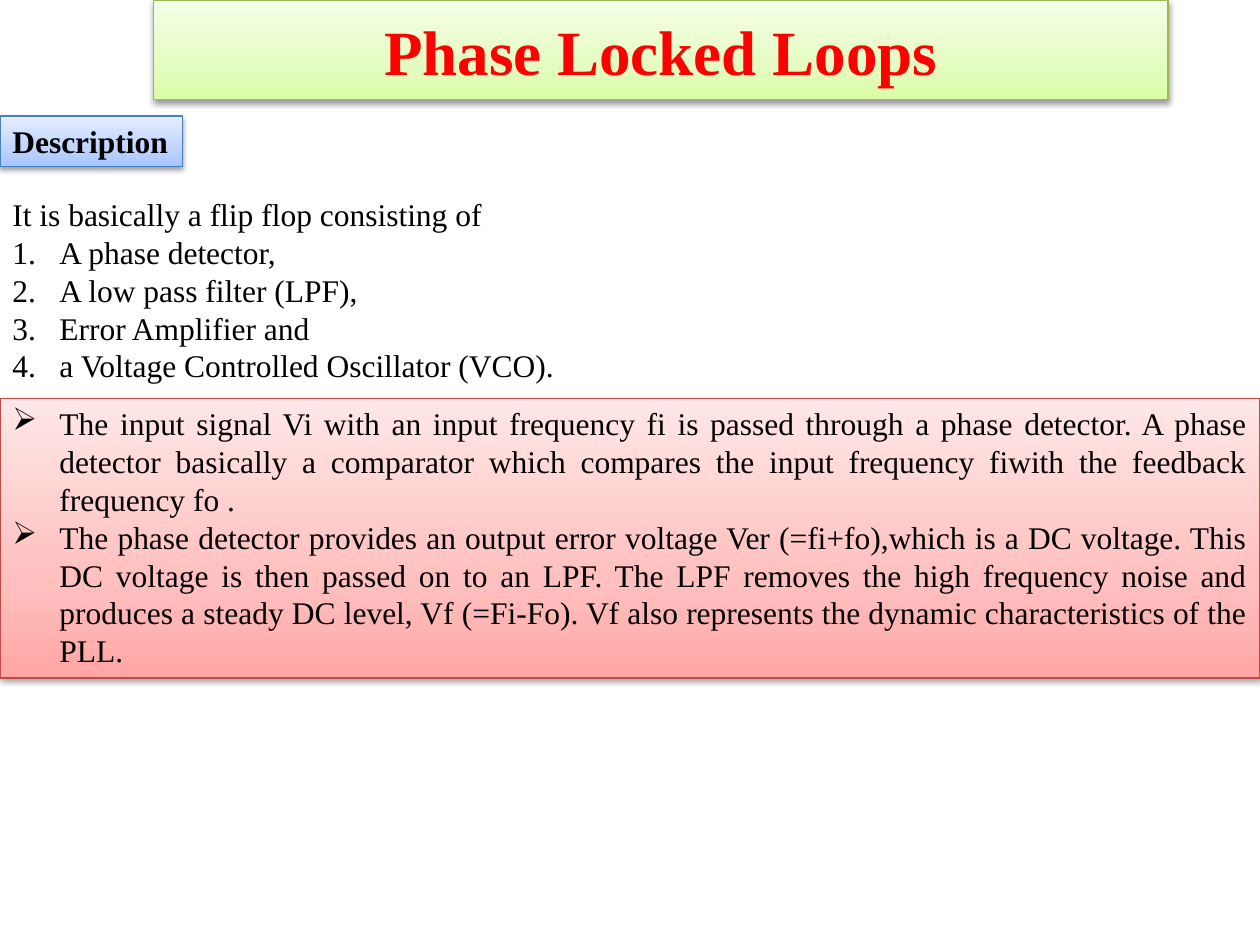
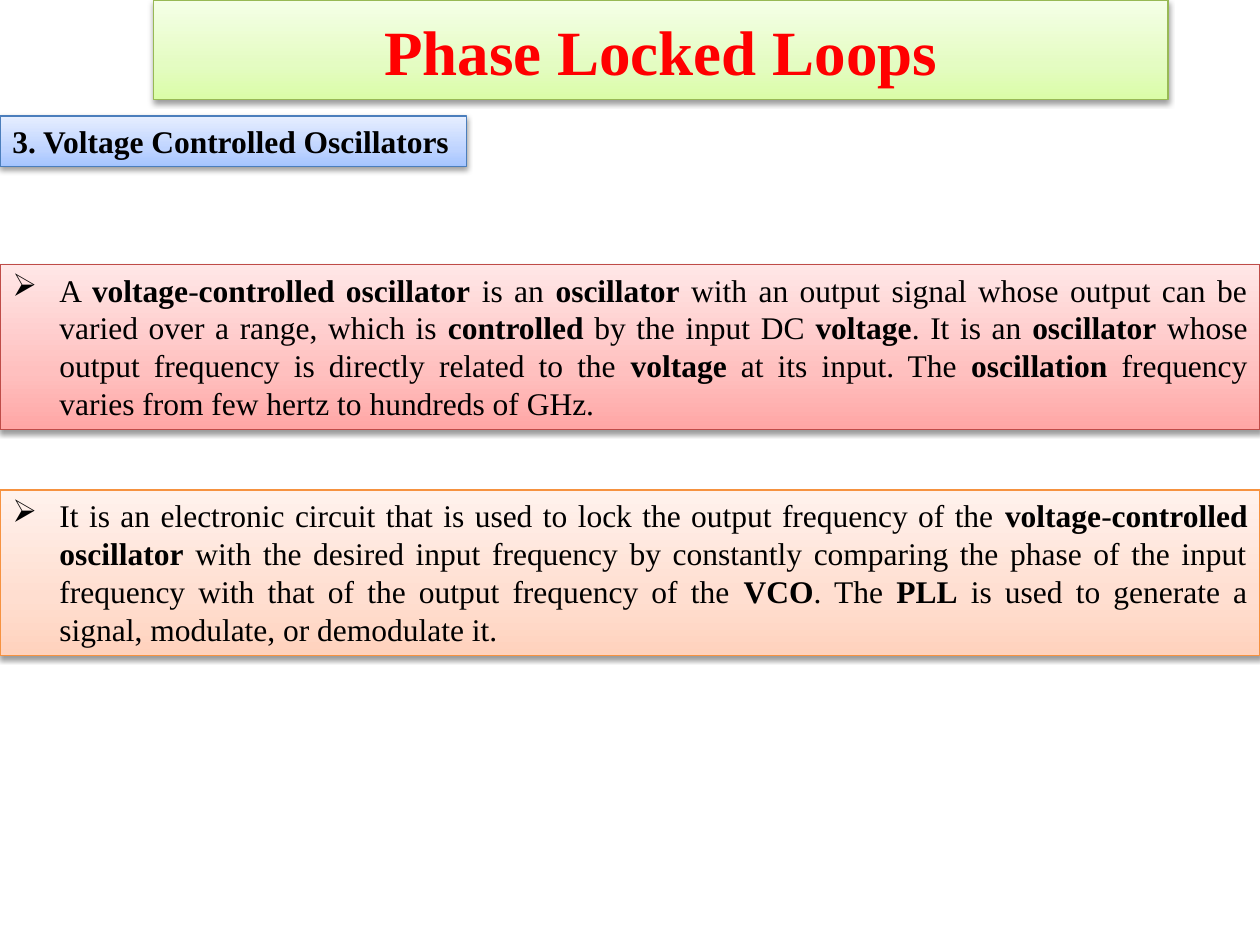
"""Build two slides on phase locked loops."""
from copy import deepcopy
from lxml import etree
from pptx import Presentation, util as u
from pptx.dml.color import RGBColor
from pptx.enum import shapes, text
from pptx.oxml import parse_xml
from pptx.oxml.ns import qn

FONT = "Times New Roman"
BLACK = RGBColor(0, 0, 0)
RED = RGBColor(255, 0, 0)
GREEN = [RGBColor.from_string(c) for c in ("DAFDA7", "E4FCC2", "F5FFE7", "98B955")]
BLUE = [RGBColor.from_string(c) for c in ("A4C4FF", "BFD4FF", "E6EEFF", "4B7EBC")]
PINK = [RGBColor.from_string(c) for c in ("FFA6A5", "FFC0BF", "FFE7E7", "BF4C48")]
PEACH = [RGBColor.from_string(c) for c in ("FFD2BD", "FFDED0", "FFF2ED", "F69240")]
SHADOW = (
    '<a:outerShdw xmlns:a="http://schemas.openxmlformats.org/drawingml/2006/main"'
    ' blurRad="40000" dist="20000" dir="5400000" rotWithShape="0">'
    '<a:srgbClr val="000000"><a:alpha val="38000"/></a:srgbClr></a:outerShdw>'
)
LEFT, MID, JUST = text.PP_ALIGN.LEFT, text.PP_ALIGN.CENTER, text.PP_ALIGN.JUSTIFY
WIDE, HIGH = 25.4, 19.05


def panel(slide, box, tones):
    """Add a shaded rectangle and return its text frame."""
    rect = slide.shapes.add_shape(shapes.MSO_SHAPE.RECTANGLE, *map(u.Cm, box))
    rect.fill.gradient()
    rect.fill.gradient_angle = 90
    first = next(rect._element.spPr.iter(qn("a:gs")))
    first.addnext(deepcopy(first))
    for stop, spot, tone in zip(rect.fill.gradient_stops, (0, 0.35, 1), tones):
        stop.position = spot
        stop.color.rgb = tone
    rect.line.color.rgb = tones[-1]
    rect.line.width = u.Pt(0.75)
    rect.shadow.inherit = False
    rect._element.spPr.find(qn("a:effectLst")).append(parse_xml(SHADOW))
    rect.text_frame.vertical_anchor = text.MSO_ANCHOR.TOP
    rect.text_frame.word_wrap = True
    return rect.text_frame


def write(frame, lines, align=LEFT, size=18, color=BLACK):
    """Fill a frame from (mark, text) pairs, where asterisks enclose bold words."""
    for num, (mark, words) in enumerate(lines):
        para = frame.paragraphs[0] if num == 0 else frame.add_paragraph()
        para.alignment = align
        if mark:
            props = para._p.get_or_add_pPr()
            props.set("marL", str(u.Cm(0.95)))
            props.set("indent", str(-u.Cm(0.95)))
            if mark == "1.":
                etree.SubElement(props, qn("a:buAutoNum"), type="arabicPeriod")
            else:
                etree.SubElement(props, qn("a:buChar"), char=mark)
        for part, piece in enumerate(words.split("*")):
            if piece:
                run = para.add_run()
                run.text = piece
                run.font.name = FONT
                run.font.size = u.Pt(size)
                run.font.color.rgb = color
                run.font.bold = part % 2 == 1


parts = [
    ("1.", "A phase detector,"),
    ("1.", "A low pass filter (LPF),"),
    ("1.", "Error Amplifier and"),
    ("1.", "a Voltage Controlled Oscillator (VCO)."),
]
signal = [
    ("➢", "The input signal Vi with an input frequency fi is passed through a phase "
     "detector. A phase detector basically a comparator which compares the input "
     "frequency fiwith the feedback frequency fo ."),
    ("➢", "The phase detector provides an output error voltage Ver (=fi+fo),which is a "
     "DC voltage. This DC voltage is then passed on to an LPF. The LPF removes the high "
     "frequency noise and produces a steady DC level, Vf (=Fi-Fo). Vf also represents "
     "the dynamic characteristics of the PLL."),
]
range_note = [
    ("➢", "A *voltage*-*controlled oscillator* is an *oscillator* with an output signal "
     "whose output can be varied over a range, which is *controlled* by the input DC "
     "*voltage*. It is an *oscillator* whose output frequency is directly related to the "
     "*voltage* at its input. The *oscillation* frequency varies from few hertz to "
     "hundreds of GHz."),
]
lock_note = [
    ("➢", "It is an electronic circuit that is used to lock the output frequency of the "
     "*voltage*-*controlled oscillator* with the desired input frequency by constantly "
     "comparing the phase of the input frequency with that of the output frequency of "
     "the *VCO*. The *PLL* is used to generate a signal, modulate, or demodulate it."),
]
pages = [
    ("Description", 3.68, [(8.03, 5.64, PINK, signal)]),
    ("3. Voltage Controlled Oscillators", 9.4,
     [(5.33, 3.33, PINK, range_note), (9.88, 3.33, PEACH, lock_note)]),
]

deck = Presentation()
deck.slide_width, deck.slide_height = u.Cm(WIDE), u.Cm(HIGH)

for topic, width, notes in pages:
    slide = deck.slides.add_slide(deck.slide_layouts[6])

    title = panel(slide, (3.1, 0, 20.45, 2.01), GREEN)
    title.vertical_anchor = text.MSO_ANCHOR.MIDDLE
    write(title, [("", "*Phase Locked Loops*")], MID, 36, RED)

    label = panel(slide, (0, 2.34, width, 1.02), BLUE)
    label.word_wrap = False
    label.auto_size = text.MSO_AUTO_SIZE.SHAPE_TO_FIT_TEXT
    write(label, [("", f"*{topic}*")])

    for top, tall, tones, lines in notes:
        note = panel(slide, (0, top, WIDE, tall), tones)
        note.auto_size = text.MSO_AUTO_SIZE.SHAPE_TO_FIT_TEXT
        write(note, lines, JUST)

intro = deck.slides[0].shapes.add_textbox(*map(u.Cm, (0, 3.81, WIDE, 4.1))).text_frame
intro.word_wrap = True
write(intro, [("", "It is basically a flip flop consisting of"), *parts])

deck.save("out.pptx")
